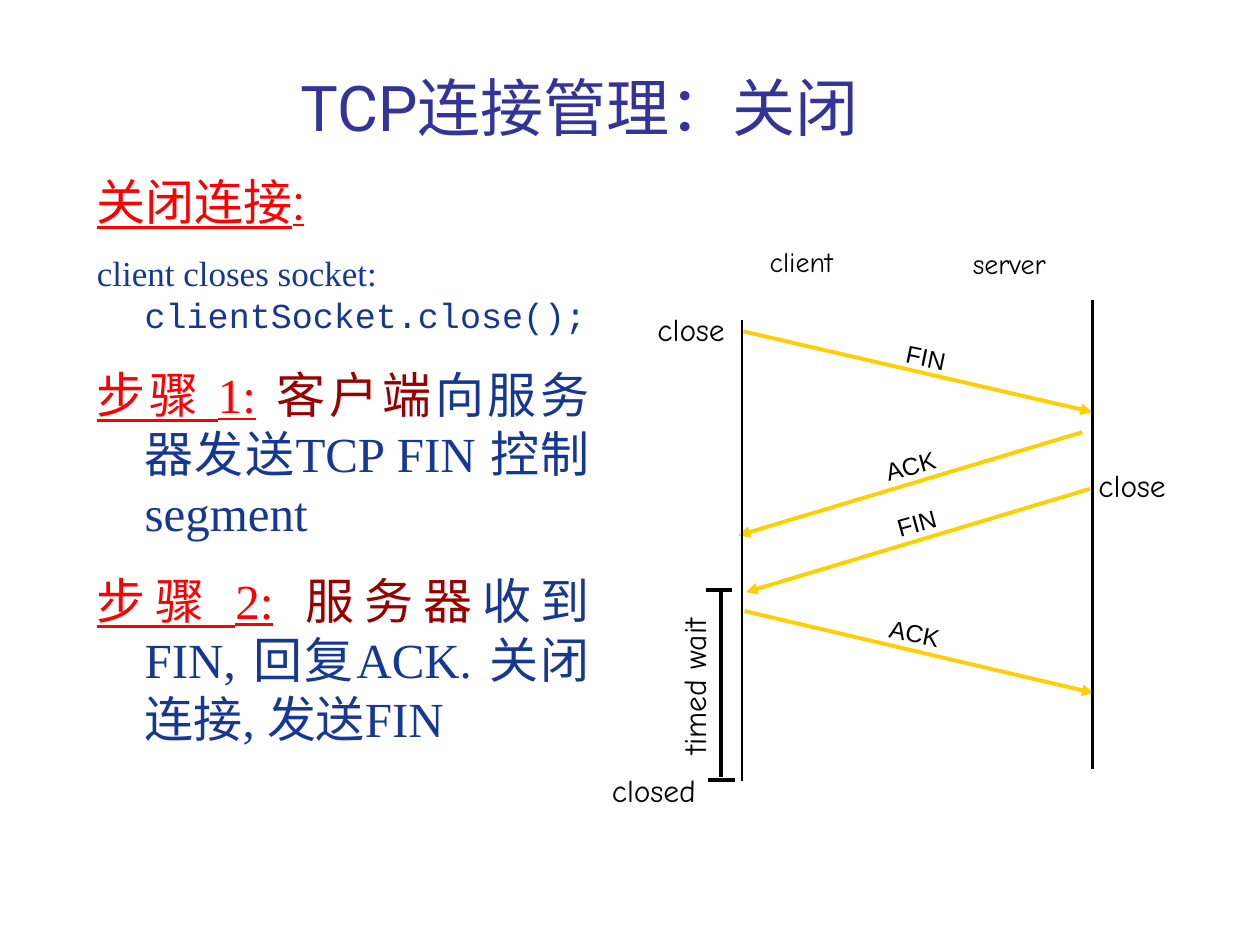
"""Build a slide that explains how a TCP connection is closed."""
from lxml import etree
from pptx import Presentation
from pptx.dml.color import RGBColor
from pptx.enum.shapes import MSO_CONNECTOR
from pptx.enum.text import MSO_ANCHOR, PP_ALIGN
from pptx.oxml.ns import qn
from pptx.util import Inches, Pt

STRAIGHT = MSO_CONNECTOR.STRAIGHT
CENTER, JUSTIFY, LEFT = PP_ALIGN.CENTER, PP_ALIGN.JUSTIFY, PP_ALIGN.LEFT
BOTTOM, TOP = MSO_ANCHOR.BOTTOM, MSO_ANCHOR.TOP
COLORS = {
    "title": "333399",
    "heading": "FF0000",
    "body": "163794",
    "actor": "990000",
    "black": "000000",
    "message": "FFCF01",
}


def add_text_box(left, top, width, height, wrap=True, anchor=TOP, rotation=0):
    shape = slide.shapes.add_textbox(
        Inches(left), Inches(top), Inches(width), Inches(height)
    )
    shape.rotation = rotation
    shape.text_frame.word_wrap = wrap
    shape.text_frame.vertical_anchor = anchor
    return shape.text_frame


def style_font(font, size, name, color):
    font.size = Pt(size)
    font.name = name
    font.color.rgb = RGBColor.from_string(COLORS[color])


presentation = Presentation()
presentation.slide_width = Inches(10)
presentation.slide_height = Inches(7.5)
slide = presentation.slides.add_slide(presentation.slide_layouts[6])

title = add_text_box(0.35, 0.21, 8.5, 0.98, anchor=BOTTOM).paragraphs[0]
title.text = "TCP连接管理：关闭"
title.alignment = CENTER
style_font(title.font, 36, "Roboto", "title")

SERIF = "Times New Roman"
body_paragraphs = [
    (LEFT, 28, [("关闭连接:", "Roboto", "heading")]),
    (LEFT, 20, [
        ("client closes socket: ", SERIF, "body"),
        ("clientSocket.close();", "Courier New", "body"),
    ]),
    (JUSTIFY, 28, [
        ("步骤 1:", SERIF, "heading"),
        (" ", SERIF, "black"),
        ("客户端", SERIF, "actor"),
        ("向服务器发送TCP FIN 控制segment", SERIF, "body"),
    ]),
    (JUSTIFY, 28, [
        ("步骤 2:", SERIF, "heading"),
        (" ", SERIF, "black"),
        ("服务器", SERIF, "actor"),
        ("收到FIN, 回复ACK. 关闭连接, 发送FIN", SERIF, "body"),
    ]),
]
body = add_text_box(0.67, 1.31, 4.11, 5.16)
for index, (alignment, size, runs) in enumerate(body_paragraphs):
    paragraph = body.add_paragraph() if index else body.paragraphs[0]
    paragraph.alignment = alignment
    if index:
        paragraph.space_before = Pt(0.6 * size)
    properties = paragraph._p.get_or_add_pPr()
    properties.set("marL", str(Inches(0.38)))
    properties.set("indent", str(Inches(-0.38)))
    for text, font_name, color in runs:
        run = paragraph.add_run()
        run.text = text
        style_font(run.font, size, font_name, color)
        run.font.underline = color == "heading"

lines = [
    (5.9, 2.63, 8.67, 3.27, "message", 2.25),
    (5.91, 4.85, 8.68, 5.5, "message", 2.25),
    (5.72, 4.7, 5.72, 6.17, "black", 2.25),
    (8.67, 2.38, 8.67, 6.1, "black", 1.5),
    (8.59, 3.43, 5.86, 4.25, "message", 2.25),
    (8.65, 3.88, 5.92, 4.7, "message", 2.25),
    (5.89, 2.54, 5.89, 6.2, "black", 1.5),
    (5.6, 4.68, 5.81, 4.68, "black", 2.25),
    (5.62, 6.19, 5.83, 6.19, "black", 2.25),
]
for start_x, start_y, end_x, end_y, color, width in lines:
    connector = slide.shapes.add_connector(
        STRAIGHT, Inches(start_x), Inches(start_y), Inches(end_x), Inches(end_y)
    )
    connector.line.width = Pt(width)
    connector.line.color.rgb = RGBColor.from_string(COLORS[color])
    if color == "message":
        outline = connector.line._get_or_add_ln()
        etree.SubElement(outline, qn("a:tailEnd"), type="triangle")
    etree.SubElement(connector._element.spPr, qn("a:effectLst"))

labels = [
    ("client", 5.97, 1.89, 0.78, 0.37, 16, "Comic Neue", 0, False),
    ("server", 7.57, 1.91, 0.88, 0.37, 16, "Comic Neue", 0, False),
    ("close", 5.09, 2.41, 0.79, 0.4, 18, "Comic Neue", 0, False),
    ("close", 8.59, 3.65, 0.79, 0.4, 18, "Comic Neue", 0, False),
    ("closed", 4.72, 6.07, 0.94, 0.4, 18, "Comic Neue", 0, False),
    ("timed wait", 4.79, 5.25, 1.43, 0.4, 18, "Comic Neue", 270, False),
    ("FIN", 7.05, 2.67, 0.6, 0.33, 14, "Arial", 11.8, False),
    ("ACK", 6.96, 4.86, 0.6, 0.33, 14, "Arial", 11.8, False),
    ("ACK", 5.73, 3.53, 2.99, 0.33, 14, "Arial", 344.6, True),
    ("FIN", 5.78, 3.98, 2.99, 0.33, 14, "Arial", 344.6, True),
]
for text, left, top, width, height, size, font_name, rotation, wrap in labels:
    frame = add_text_box(left, top, width, height, wrap, rotation=rotation)
    paragraph = frame.paragraphs[0]
    paragraph.text = text
    paragraph.alignment = CENTER
    style_font(paragraph.font, size, font_name, "black")

presentation.save("out.pptx")
